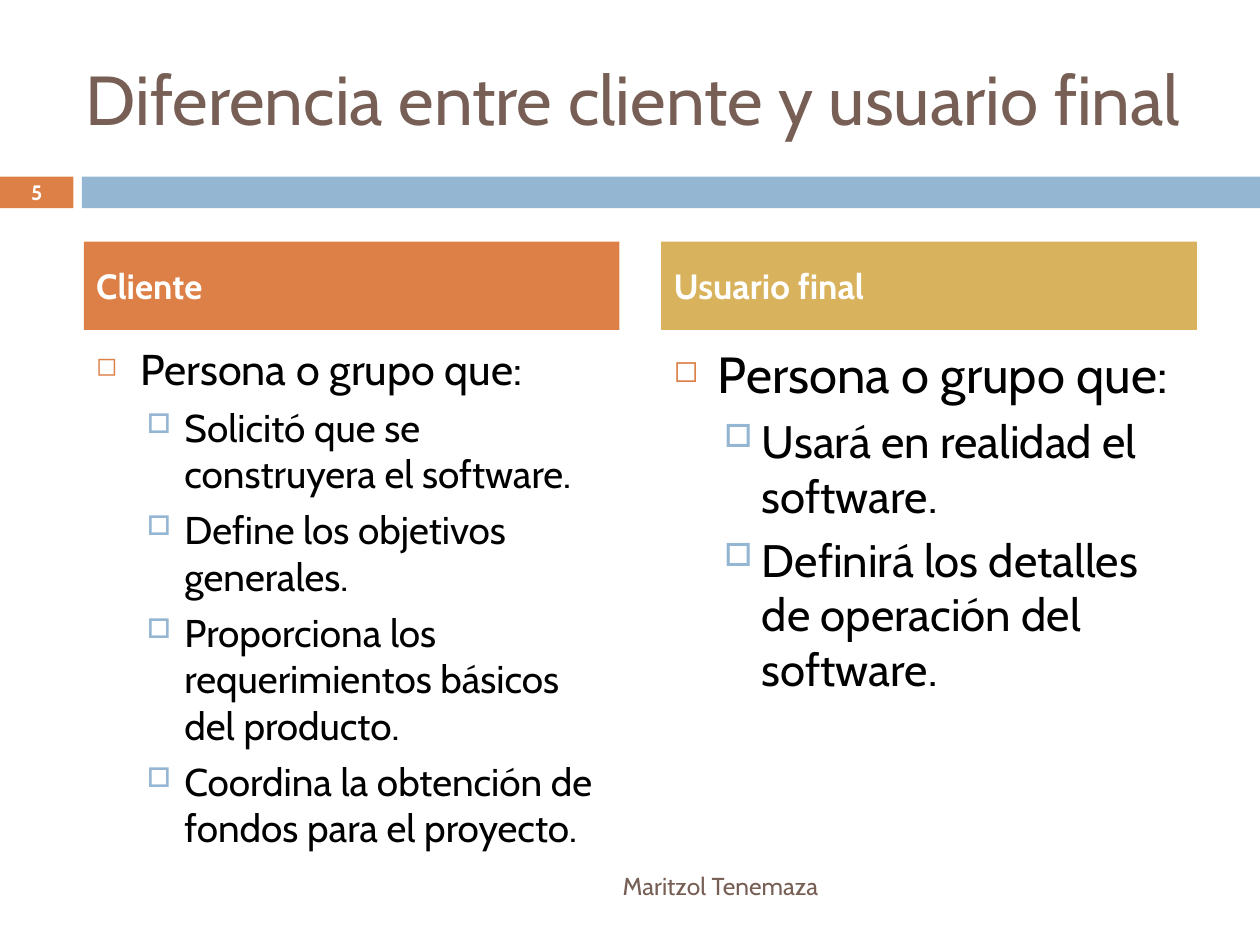
from dataclasses import dataclass

from lxml import etree
from pptx import Presentation
from pptx import util as u
from pptx.dml.color import RGBColor
from pptx.enum import shapes, text
from pptx.oxml import ns


@dataclass(frozen=True)
class Theme:
    font: str = "Cabin"
    brown: str = "775F55"
    orange: str = "DD8047"
    blue: str = "94B6D2"
    gold: str = "D8B25C"
    black: str = "000000"
    white: str = "FFFFFF"
    title: float = 39.6
    head: float = 20
    foot: float = 14
    number: float = 11.9


THEME = Theme()
LEFT = text.PP_ALIGN.LEFT
CENTER = text.PP_ALIGN.CENTER
RIGHT = text.PP_ALIGN.RIGHT

MARKS = (
    dict(char="◻", color=THEME.orange, scale=60, left=0.89, hang=0.89, gap=7),
    dict(char="□", color=THEME.blue, scale=70, left=1.78, hang=0.76, gap=5.5),
)

COLUMNS = (
    ("Cliente", THEME.orange, (24.6, 22.1), (
        "Solicitó que se construyera el software.",
        "Define los objetivos generales.",
        "Proporciona los requerimientos básicos del producto.",
        "Coordina la obtención de fondos para el proyecto.",
    )),
    ("Usuario final", THEME.gold, (29, 26), (
        "Usará en realidad el software.",
        "Definirá los detalles de operación del software.",
    )),
)


def place(area):
    return [u.Cm(side) for side in area]


def style(para, size, color, bold=False):
    for run in para.runs:
        run.font.name = THEME.font
        run.font.size = u.Pt(size)
        run.font.bold = bold
        run.font.color.rgb = RGBColor.from_string(color)


def add_block(slide, area, fill):
    block = slide.shapes.add_shape(shapes.MSO_SHAPE.RECTANGLE, *place(area))
    block.shadow.inherit = False
    block.fill.solid()
    block.fill.fore_color.rgb = RGBColor.from_string(fill)
    block.line.fill.background()
    return block


def add_box(slide, area):
    box = slide.shapes.add_textbox(*place(area))
    box.text_frame.word_wrap = True
    return box


def write(shape, words, size, color, align=LEFT, bold=False):
    frame = shape.text_frame
    frame.text = words
    frame.vertical_anchor = text.MSO_ANCHOR.MIDDLE
    para = frame.paragraphs[0]
    para.alignment = align
    style(para, size, color, bold)


def add_mark(para, mark):
    props = para._p.get_or_add_pPr()
    props.set("marL", str(u.Cm(mark["left"])))
    props.set("indent", str(-u.Cm(mark["hang"])))
    tint = etree.SubElement(props, ns.qn("a:buClr"))
    etree.SubElement(tint, ns.qn("a:srgbClr"), val=mark["color"])
    etree.SubElement(props, ns.qn("a:buSzPct"), val=str(mark["scale"] * 1000))
    etree.SubElement(props, ns.qn("a:buChar"), char=mark["char"])


def add_list(slide, area, sizes, items):
    frame = add_box(slide, area).text_frame
    lines = [(0, "Persona o grupo que:")] + [(1, item) for item in items]
    for index, (level, words) in enumerate(lines):
        para = frame.add_paragraph() if index else frame.paragraphs[0]
        para.text = words
        para.level = level
        add_mark(para, MARKS[level])
        if index:
            para.space_before = u.Pt(MARKS[level]["gap"])
        style(para, sizes[level], THEME.black)


def add_column(slide, left, column):
    name, fill, sizes, items = column
    head = add_block(slide, (left, 4.87, 10.8, 1.78), fill)
    write(head, name, THEME.head, THEME.white, bold=True)
    add_list(slide, (left, 6.78, 10.8, 9.96), sizes, items)


def add_band(slide):
    number = add_block(slide, (0, 3.56, 1.48, 0.64), THEME.orange)
    number.text_frame.margin_top = number.text_frame.margin_bottom = 0
    write(number, "5", THEME.number, THEME.white, CENTER, True)
    add_block(slide, (1.65, 3.56, 23.75, 0.64), THEME.blue)


def main():
    deck = Presentation()
    deck.slide_width, deck.slide_height = u.Cm(25.4), u.Cm(19.05)
    slide = deck.slides.add_slide(deck.slide_layouts[6])
    add_band(slide)
    title = add_box(slide, (1.48, 0.76, 22.66, 2.41))
    write(title, "Diferencia entre cliente y usuario final",
          THEME.title, THEME.brown)
    for index, column in enumerate(COLUMNS):
        add_column(slide, 1.69 + index * 11.64, column)
    foot = add_box(slide, (1.69, 17.35, 15.06, 1.02))
    write(foot, "Maritzol Tenemaza", THEME.foot, THEME.brown, RIGHT)
    deck.save("out.pptx")


if __name__ == "__main__":
    main()
